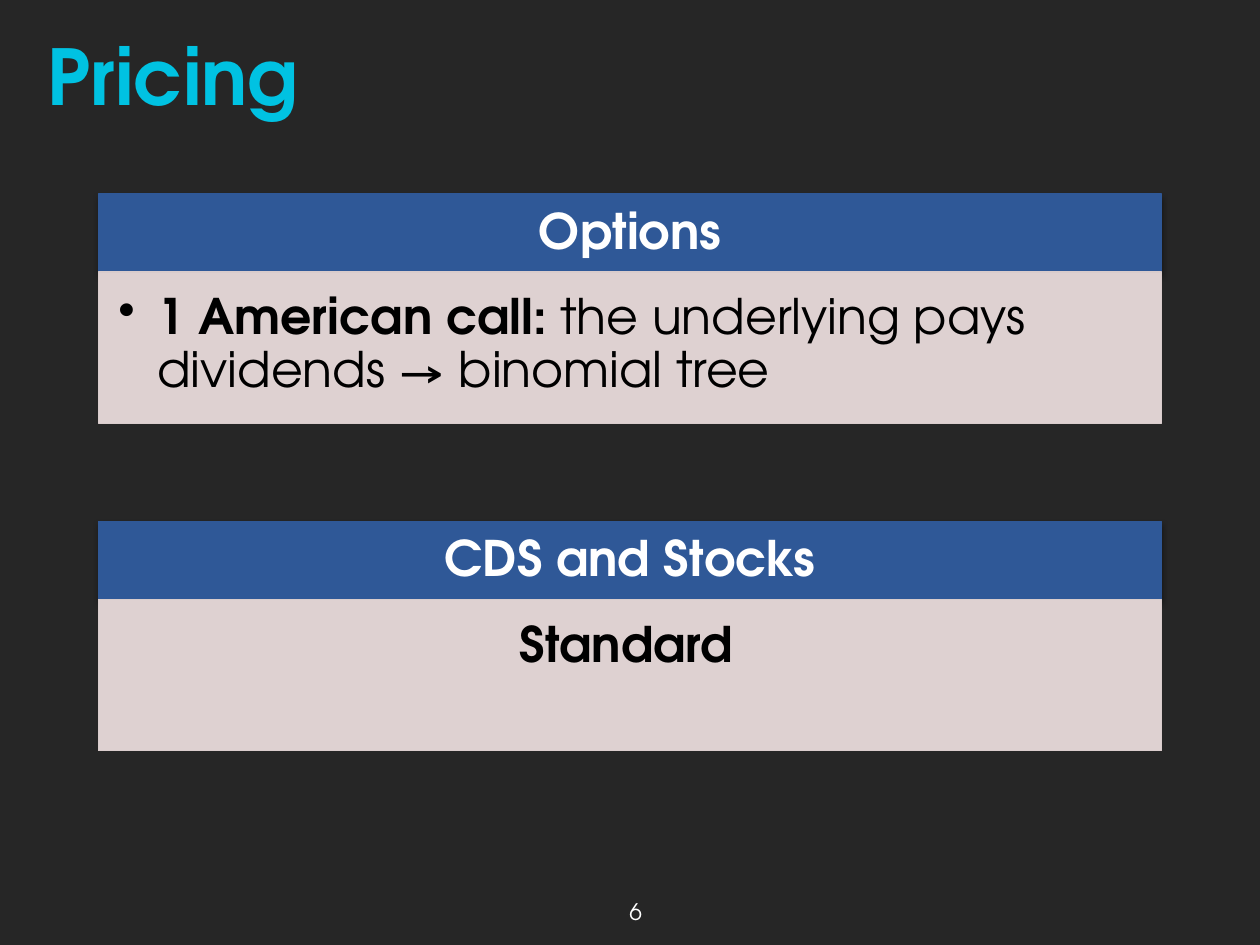
import pptx
import pptx.util
import pptx.dml.color
import pptx.enum.shapes
import pptx.enum.text
import pptx.oxml
import pptx.oxml.ns

Inches = pptx.util.Inches
Pt = pptx.util.Pt
RGBColor = pptx.dml.color.RGBColor
ALIGN = pptx.enum.text.PP_ALIGN
ANCHOR = pptx.enum.text.MSO_ANCHOR
RECTANGLE = pptx.enum.shapes.MSO_SHAPE.RECTANGLE

DARK = RGBColor(0x26, 0x26, 0x26)
CYAN = RGBColor(0x00, 0xC2, 0xE2)
BLUE = RGBColor(0x2F, 0x58, 0x97)
PINK = RGBColor(0xDE, 0xD1, 0xD1)
PINK_EDGE = RGBColor(0xD9, 0xCC, 0xCC)
WHITE = RGBColor(0xFF, 0xFF, 0xFF)
BLACK = RGBColor(0x00, 0x00, 0x00)
FONT = "TeX Gyre Adventor"

TITLE = "Pricing"
PAGE_NUMBER = "6"
SECTIONS = [
    {"heading": "Options", "bulleted": True,
     "body": [("1 American call:", True),
              (" the underlying pays dividends → binomial tree", False)]},
    {"heading": "CDS and Stocks", "bulleted": False,
     "body": [("Standard", True)]},
]

LEFT, WIDTH = 0.78, 8.44
FIRST_TOP, SECTION_STEP = 1.54, 2.6
HEADING_HEIGHT, BODY_HEIGHT = 0.62, 1.2
DEFAULT_MARGINS = (0.1, 0.05, 0.1, 0.05)
HEADING_MARGINS = (0.22, 0.12, 0.22, 0.12)
BODY_MARGINS = (0.16, 0.16, 0.22, 0.24)

SHADOW = (
    '<a:effectLst %s><a:outerShdw blurRad="39370" dist="22860" dir="5400000" rotWithShape="0">'
    '<a:srgbClr val="000000"><a:alpha val="35000"/></a:srgbClr>'
    '</a:outerShdw></a:effectLst>' % pptx.oxml.ns.nsdecls("a")
)
BULLET = '<a:buChar %s char="•"/>' % pptx.oxml.ns.nsdecls("a")


def apply(target, values):
    for name, value in values.items():
        setattr(target, name, value)


def add_panel(page, place, fill, edge=None):
    panel = page.shapes.add_shape(RECTANGLE, *map(Inches, place))
    panel.shadow.inherit = False
    panel.fill.solid()
    panel.fill.fore_color.rgb = fill
    if edge is None:
        panel.line.fill.background()
    else:
        panel.line.color.rgb = edge
        panel.line.width = Pt(0.75)
    return panel


def write(box, spans, size, color, margins, anchor, align, spacing=None):
    frame = box.text_frame
    sides = ("margin_left", "margin_top", "margin_right", "margin_bottom")
    apply(frame, dict(zip(sides, map(Inches, margins))))
    apply(frame, {"word_wrap": True, "vertical_anchor": anchor})
    para = frame.paragraphs[0]
    apply(para, {"alignment": align, "line_spacing": spacing})
    for text, bold in spans:
        span = para.add_run()
        span.text = text
        apply(span.font, {"name": FONT, "size": Pt(size), "bold": bold})
        span.font.color.rgb = color
    return para


def add_label(page, place, *text_format):
    box = page.shapes.add_textbox(*map(Inches, place))
    write(box, *text_format)


def add_section(page, section, top):
    heading = add_panel(page, (LEFT, top, WIDTH, HEADING_HEIGHT), BLUE, BLUE)
    properties = heading._element.spPr
    properties.remove(properties.find(pptx.oxml.ns.qn("a:effectLst")))
    properties.append(pptx.oxml.parse_xml(SHADOW))
    write(heading, [(section["heading"], True)], 28, WHITE,
          HEADING_MARGINS, ANCHOR.MIDDLE, ALIGN.CENTER, 0.9)

    body = add_panel(page, (LEFT, top + HEADING_HEIGHT, WIDTH, BODY_HEIGHT), PINK, PINK_EDGE)
    align = ALIGN.LEFT if section["bulleted"] else ALIGN.CENTER
    para = write(body, section["body"], 28, BLACK, BODY_MARGINS, ANCHOR.TOP, align, 0.9)
    if section["bulleted"]:
        properties = para._p.get_or_add_pPr()
        properties.set("marL", str(Inches(0.31)))
        properties.set("indent", str(-Inches(0.31)))
        properties.append(pptx.oxml.parse_xml(BULLET))


def main():
    deck = pptx.Presentation()
    apply(deck, {"slide_width": Inches(10), "slide_height": Inches(7.5)})
    page = deck.slides.add_slide(deck.slide_layouts[6])
    add_panel(page, (0, 0, 10, 7.5), DARK)
    add_label(page, (0.28, -0.03, 9.28, 1.25), [(TITLE, True)], 44, CYAN,
              DEFAULT_MARGINS, ANCHOR.MIDDLE, ALIGN.LEFT)
    for index, section in enumerate(SECTIONS):
        add_section(page, section, FIRST_TOP + index * SECTION_STEP)
    add_label(page, (4, 7.08, 2.09, 0.33), [(PAGE_NUMBER, False)], 13, WHITE,
              DEFAULT_MARGINS, ANCHOR.TOP, ALIGN.CENTER)
    deck.save("out.pptx")


if __name__ == "__main__":
    main()
